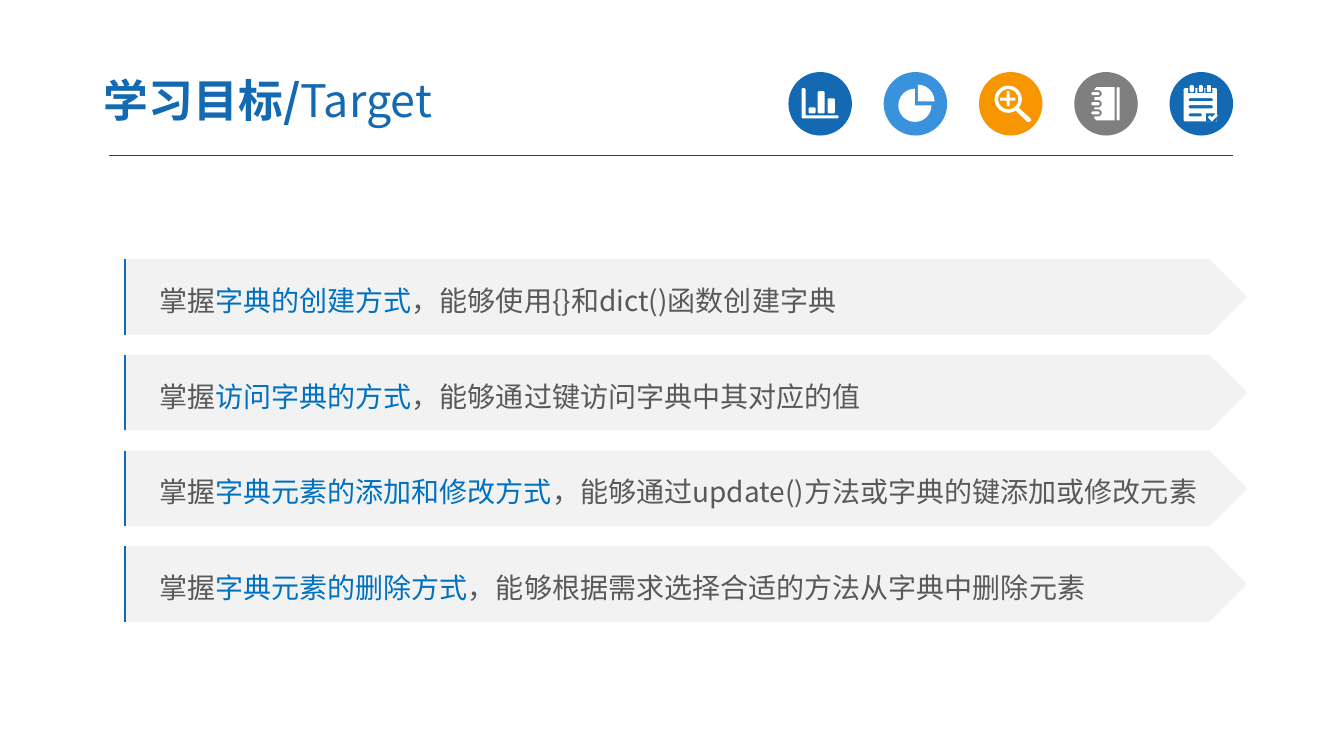
import math
from dataclasses import dataclass

from lxml import etree
from pptx import Presentation
from pptx import util as u
from pptx.dml.color import RGBColor
from pptx.enum import shapes, text
from pptx.oxml.ns import qn

SHAPE = shapes.MSO_SHAPE


@dataclass(frozen=True)
class Theme:
    """Colours, font and type sizes of the slide."""
    font: str = "Noto Sans CJK SC"
    title_size: int = 32
    goal_size: int = 20
    blue: str = "1369B2"
    sky: str = "3992DB"
    orange: str = "F79600"
    gray: str = "7F7F7F"
    white: str = "FFFFFF"
    rule: str = "404040"
    plate: str = "F2F2F2"
    body: str = "595959"
    keyword: str = "0070C0"


THEME = Theme()
SLIDE_W, SLIDE_H = 13.33, 7.5
ICON_GRID = 63


def bar(x, y, w, h, cut=1):
    """Return the corners of a rectangle with cut corners."""
    r, b = x + w, y + h
    return [(x + cut, y), (r - cut, y), (r, y + cut), (r, b - cut),
            (r - cut, b), (x + cut, b), (x, b - cut), (x, y + cut)]


def arc(x, y, radius, start=0, end=345, step=15):
    """Return points along a circle, by angle in degrees."""
    return [(x + radius * math.cos(math.radians(a)), y + radius * math.sin(math.radians(a)))
            for a in range(start, end + 1, step)]


def chart_glyph():
    """Outline a bar chart with its axes."""
    axes = [(13, 17), (14, 16), (16, 16), (17, 17), (17, 43), (49, 43),
            (50, 44), (49, 46), (14, 46), (13, 45)]
    return [axes, bar(20, 35, 7, 6), bar(29, 19, 7, 22), bar(39, 26, 7, 15)]


def pie_glyph():
    """Outline a pie chart with one quarter pulled out."""
    return [[(31, 33), *arc(31, 33, 16.5, 0, 270)], [(34, 29), *arc(34, 29, 16.5, -90, 0)]]


def magnifier_glyph():
    """Outline a magnifier with a plus in its lens."""
    plus = [(27.5, 19), (30.5, 19), (30.5, 25.5), (36, 25.5), (36, 28.5), (30.5, 28.5),
            (30.5, 34), (27.5, 34), (27.5, 28.5), (21, 28.5), (21, 25.5), (27.5, 25.5)]
    handle = [(39.5, 35.5), (51, 46), (52, 48), (50, 49.5), (48, 49.5), (36.5, 38.5)]
    return [arc(29, 27, 13.5), arc(29, 27, 10), plus, handle]


def notebook_glyph():
    """Outline a notebook with three binding rings."""
    rings = (20, 30, 39)
    page = [(22, 15), (40, 15), (40, 48), (22, 48), (20, 46)]
    for y in reversed(rings):
        page += [(20, y + 5), (25, y + 5), (27, y + 3), (27, y), (25, y - 2), (20, y - 2)]
    page.append((20, 17))
    return [page, bar(42, 15, 3, 33), *(bar(17, y, 8, 3) for y in rings)]


def checklist_glyph():
    """Outline a note pad with three lines, three rings and a tick."""
    tick = [(38, 45), (40, 43), (42, 45), (46, 41), (48, 43), (42, 49)]
    lines = [bar(19, y, w, 3) for y, w in ((26, 24), (33, 24), (41, 13))]
    rings = [bar(x - w, y, 4 + 2 * w, h, cut)
             for x in (20, 29, 37) for w, y, h, cut in ((1.5, 16, 5, 0), (0, 13, 7, 1))]
    return [bar(14, 16, 33, 33), *lines, *rings, bar(36, 41, 11, 8, 0), tick]


ICONS = [("blue", chart_glyph), ("sky", pie_glyph), ("orange", magnifier_glyph),
         ("gray", notebook_glyph), ("blue", checklist_glyph)]

GOALS = [
    ("字典的创建方式", "，能够使用{}和dict()函数创建字典"),
    ("访问字典的方式", "，能够通过键访问字典中其对应的值"),
    ("字典元素的添加和修改方式", "，能够通过update()方法或字典的键添加或修改元素"),
    ("字典元素的删除方式", "，能够根据需求选择合适的方法从字典中删除元素"),
]


def paint(shape, color):
    """Fill a shape with one colour, without line or shadow."""
    shape.shadow.inherit = False
    shape.fill.solid()
    shape.fill.fore_color.rgb = RGBColor.from_string(color)
    shape.line.fill.background()
    return shape


def add_block(parent, kind, box, color):
    """Add a plain filled preset shape in the given box of inches."""
    return paint(parent.shapes.add_shape(kind, *map(u.Inches, box)), color)


def add_rule(parent, start, end, color, weight):
    """Add a straight line between two points in inches."""
    rule = parent.shapes.add_connector(
        shapes.MSO_CONNECTOR.STRAIGHT, *map(u.Inches, (*start, *end)))
    rule.line.color.rgb = RGBColor.from_string(color)
    rule.line.width = u.Pt(weight)
    etree.SubElement(rule._element.spPr, qn("a:effectLst"))


def write_line(frame, runs, size, layout):
    """Write one left-aligned line from (words, colour, bold) runs."""
    for name, value in layout.items():
        setattr(frame, name, value)
    line = frame.paragraphs[0]
    line.alignment = text.PP_ALIGN.LEFT
    for words, color, bold in runs:
        run = line.add_run()
        run.text = words
        for name, value in {"name": THEME.font, "size": u.Pt(size), "bold": bold}.items():
            setattr(run.font, name, value)
        run.font.color.rgb = RGBColor.from_string(color)
        east_asian = etree.SubElement(run.font._element, qn("a:ea"))
        east_asian.set("typeface", THEME.font)
    return line


def draw_icon(slide, left, top, size, disc, glyph):
    """Draw a disc with a white glyph laid on a square grid."""
    icon = slide.shapes.add_group_shape()
    cell = size / ICON_GRID
    add_block(icon, SHAPE.OVAL, (left, top, size, size), getattr(THEME, disc))
    contours = [[(u.Inches(left + x * cell), u.Inches(top + y * cell)) for x, y in contour]
                for contour in glyph()]
    builder = icon.shapes.build_freeform(*contours[0][0])
    for order, (start, *rest) in enumerate(contours):
        if order:
            builder.move_to(*start)
        builder.add_line_segments(rest)
    paint(builder.convert_to_shape(), THEME.white)


def draw_header(slide, left, top, width, height):
    """Draw the title, the row of icons and the rule below them."""
    right, base = left + width, top + height
    title = slide.shapes.add_textbox(*map(u.Inches, (left - 0.19, top, 5.22, 0.72)))
    write_line(title.text_frame,
               [("学习目标/", THEME.blue, True), ("Target", THEME.blue, False)],
               THEME.title_size,
               {"word_wrap": True, "vertical_anchor": text.MSO_ANCHOR.MIDDLE,
                "margin_left": u.Inches(0.14), "margin_right": u.Inches(0.13),
                "margin_top": u.Inches(0.07), "margin_bottom": u.Inches(0.07)})
    size, pitch = 0.63, 0.945
    first = right - size - pitch * (len(ICONS) - 1)
    for column, (disc, glyph) in enumerate(ICONS):
        draw_icon(slide, first + column * pitch, top + 0.085, size, disc, glyph)
    add_rule(slide, (left, base), (right, base), THEME.rule, 0.75)


def draw_goals(slide, left, top, width, height):
    """Stack the learning goals as arrow plates with an accent on the left."""
    plate_h = 0.75
    pitch = (height - plate_h) / (len(GOALS) - 1)
    for row, (keyword, detail) in enumerate(GOALS):
        y = top + row * pitch
        goal = slide.shapes.add_group_shape()
        plate = add_block(goal, SHAPE.PENTAGON, (left, y, width, plate_h), THEME.plate)
        line = write_line(plate.text_frame,
                          [("掌握", THEME.body, False), (keyword, THEME.keyword, False),
                           (detail, THEME.body, False)],
                          THEME.goal_size,
                          {"word_wrap": True, "vertical_anchor": text.MSO_ANCHOR.MIDDLE,
                           "margin_left": u.Inches(0.35), "margin_right": 0})
        line.line_spacing = 1.2
        add_rule(goal, (left + 0.01, y + plate_h), (left + 0.01, y), THEME.blue, 1.5)


def main():
    """Build the slide and save it."""
    deck = Presentation()
    deck.slide_width, deck.slide_height = u.Inches(SLIDE_W), u.Inches(SLIDE_H)
    slide = deck.slides.add_slide(deck.slide_layouts[6])
    draw_header(slide, 1.08, 0.63, 11.15, 0.91)
    draw_goals(slide, 1.23, 2.57, 11.14, 3.6)
    deck.save("out.pptx")


if __name__ == "__main__":
    main()
